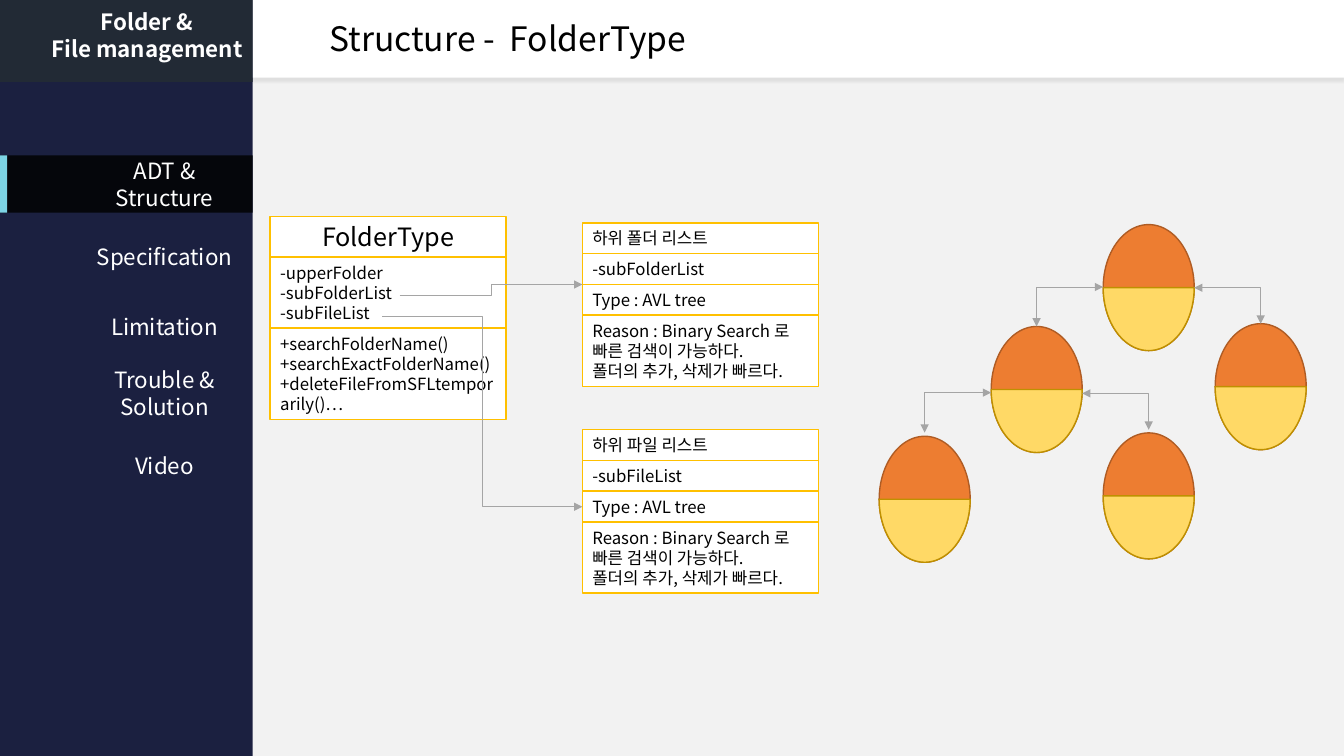
import dataclasses

import lxml.etree
import pptx
import pptx.dml.color
import pptx.enum.shapes
import pptx.enum.text
import pptx.oxml
import pptx.oxml.ns
import pptx.util

Pt = pptx.util.Pt
SHAPES = pptx.enum.shapes.MSO_SHAPE
ALIGN = pptx.enum.text.PP_ALIGN
qn = pptx.oxml.ns.qn


@dataclasses.dataclass(frozen=True)
class Theme:
    font: str = "Noto Sans CJK KR"
    background: str = "F2F2F2"
    white: str = "FFFFFF"
    black: str = "000000"
    sidebar: str = "1B2040"
    sidebar_head: str = "222A35"
    active: str = "05060B"
    accent: str = "7DD4E5"
    card_line: str = "FFC000"
    arrow: str = "A5A5A5"
    node: str = "ED7D31"
    node_line: str = "AF5C24"
    node_half: str = "FFD966"
    node_half_line: str = "BF9000"
    title_size: int = 24
    heading_size: int = 18
    menu_size: int = 16
    body_size: int = 12


def color(value):
    return pptx.dml.color.RGBColor.from_string(value)


def write_text(frame, text, *, size, font, fill, bold=False, align=ALIGN.LEFT, wrap=True):
    """Fill a text frame, one paragraph for each line of text."""
    frame.word_wrap = wrap
    frame.auto_size = pptx.enum.text.MSO_AUTO_SIZE.SHAPE_TO_FIT_TEXT
    for index, line in enumerate(text.split("\n")):
        paragraph = frame.add_paragraph() if index else frame.paragraphs[0]
        paragraph.alignment = align
        run = paragraph.add_run()
        run.text = line
        run.font.size = Pt(size)
        run.font.name = font
        run.font.bold = bold
        run.font.color.rgb = color(fill)
        east_asian = lxml.etree.SubElement(run.font._element, qn("a:ea"))
        east_asian.set("typeface", font)


class SlideBuilder:
    def __init__(self, slide, theme):
        self.slide = slide
        self.theme = theme
        slide.background.fill.solid()
        slide.background.fill.fore_color.rgb = color(theme.background)

    def shape(self, kind, left, top, width, height, fill, line=None):
        shape = self.slide.shapes.add_shape(kind, Pt(left), Pt(top), Pt(width), Pt(height))
        shape.shadow.inherit = False
        shape.fill.solid()
        shape.fill.fore_color.rgb = color(fill)
        if line:
            shape.line.color.rgb = color(line)
            shape.line.width = Pt(1)
        else:
            shape.line.fill.background()
        return shape

    def bar(self, left, top, width, height, fill):
        return self.shape(SHAPES.RECTANGLE, left, top, width, height, fill)

    def label(self, left, top, width, height, text, **text_format):
        box = self.slide.shapes.add_textbox(Pt(left), Pt(top), Pt(width), Pt(height))
        write_text(box.text_frame, text, font=self.theme.font, **text_format)

    def card(self, left, top, rows):
        """Stack outlined rows given as (text, height, size, alignment)."""
        for text, height, size, align in rows:
            row = self.shape(SHAPES.RECTANGLE, left, top, CARD_WIDTH, height,
                             self.theme.white, self.theme.card_line)
            write_text(row.text_frame, text, size=size, align=align,
                       font=self.theme.font, fill=self.theme.black)
            top += height

    def node(self, left, top):
        theme = self.theme
        place = (left, top, NODE_WIDTH, NODE_HEIGHT)
        self.shape(SHAPES.OVAL, *place, theme.node, theme.node_line)
        half = self.shape(SHAPES.CHORD, *place, theme.node_half, theme.node_half_line)
        # Chord from 0 to 180 degrees, in 60000ths of a degree over 100000
        half.adjustments[0] = 0
        half.adjustments[1] = 108

    def elbow(self, start, end, single_bend=False, both_heads=False):
        connector = self.slide.shapes.add_connector(
            pptx.enum.shapes.MSO_CONNECTOR.ELBOW, *map(Pt, start + end))
        connector.line.color.rgb = color(self.theme.arrow)
        connector.line.width = Pt(0.5)
        properties = connector._element.spPr
        if single_bend:
            properties.find(qn("a:prstGeom")).set("prst", "bentConnector2")
        line = properties.find(qn("a:ln"))
        for tag in ("a:headEnd", "a:tailEnd") if both_heads else ("a:tailEnd",):
            lxml.etree.SubElement(line, qn(tag)).set("type", "triangle")
        lxml.etree.SubElement(properties, qn("a:effectLst"))

    def shadow(self, shape):
        effects = shape._element.spPr.find(qn("a:effectLst"))
        effects.append(pptx.oxml.parse_xml(
            f'<a:outerShdw {pptx.oxml.ns.nsdecls("a")} blurRad="{Pt(2)}" dist="{Pt(2)}" '
            'dir="5400000" algn="t" rotWithShape="0"><a:srgbClr val="000000">'
            '<a:alpha val="8000"/></a:srgbClr></a:outerShdw>'))


SLIDE_WIDTH, SLIDE_HEIGHT = 960, 540
SIDEBAR_WIDTH = 180.5
CARD_WIDTH = 168.5
ROW_HEIGHT = 22
NODE_WIDTH, NODE_HEIGHT = 65, 90
TREE_LEFT, TREE_STEP = 628, 80

MENU = [("ADT &\nStructure", 108.7, 46), ("Specification", 169.9, 26.6),
        ("Limitation", 219.9, 26.6), ("Trouble &\nSolution", 258, 46),
        ("Video", 319.7, 26.6)]
LISTS = [("하위 폴더 리스트", "-subFolderList", 159.2),
         ("하위 파일 리스트", "-subFileList", 306.8)]
REASON = "Reason : Binary Search 로 빠른 검색이 가능하다.\n폴더의 추가, 삭제가 빠르다."
# Tree nodes: column and top
NODES = {"left": (1, 233.2), "root": (2, 160.4), "right": (3, 231.2),
         "left left": (0, 311.6), "left right": (2, 309.2)}
# Tree links: parent, child, start height, end height
LINKS = [("root", "left", 205, 233.2), ("root", "right", 205.5, 231.2),
         ("left", "left left", 280.4, 309), ("left", "left right", 281, 307)]


def main():
    presentation = pptx.Presentation()
    presentation.slide_width = Pt(SLIDE_WIDTH)
    presentation.slide_height = Pt(SLIDE_HEIGHT)
    theme = Theme()
    builder = SlideBuilder(presentation.slides.add_slide(presentation.slide_layouts[6]), theme)

    # Sidebar and title band
    builder.bar(0, 0, SIDEBAR_WIDTH, SLIDE_HEIGHT, theme.sidebar)
    band = builder.bar(SIDEBAR_WIDTH, 0, SLIDE_WIDTH - SIDEBAR_WIDTH, 55.5, theme.white)
    builder.shadow(band)
    builder.bar(0, -0.5, SIDEBAR_WIDTH, 59, theme.sidebar_head)
    menu_format = dict(size=theme.menu_size, fill=theme.white, align=ALIGN.CENTER)
    builder.label(28.5, 2.2, 153, 46, "Folder &\nFile management", bold=True, **menu_format)

    # Menu with its active entry
    builder.bar(0, 111, SIDEBAR_WIDTH, 41, theme.active)
    builder.bar(0, 111, 5.2, 41, theme.accent)
    for text, top, height in MENU:
        builder.label(56, top, 123, height, text, **menu_format)
    builder.label(228.2, 9.3, 271.5, 36, "Structure -  FolderType",
                  size=theme.title_size, fill=theme.black, wrap=False)

    # Class card
    body = (theme.body_size, ALIGN.LEFT)
    builder.card(193, 154.6, [
        ("FolderType", 29, theme.heading_size, ALIGN.CENTER),
        ("-upperFolder\n-subFolderList\n-subFileList", 50.8, *body),
        ("+searchFolderName()\n+searchExactFolderName()\n"
         "+deleteFileFromSFLtemporarily()…", 65.4, *body)])

    # List cards
    for heading, member, top in LISTS:
        rows = [(text, ROW_HEIGHT, *body) for text in (heading, member, "Type : AVL tree")]
        builder.card(416, top, rows + [(REASON, 50.8, *body)])
    builder.elbow((285.4, 211), (416, 203.3))
    builder.elbow((273, 225.7), (416, 362))

    # AVL tree
    for column, top in NODES.values():
        builder.node(TREE_LEFT + column * TREE_STEP, top)
    for parent, child, start_top, end_top in LINKS:
        parent_column, child_column = NODES[parent][0], NODES[child][0]
        side = NODE_WIDTH if child_column > parent_column else 0
        start = (TREE_LEFT + parent_column * TREE_STEP + side, start_top)
        end = (TREE_LEFT + child_column * TREE_STEP + NODE_WIDTH / 2, end_top)
        builder.elbow(start, end, single_bend=True, both_heads=True)

    presentation.save("out.pptx")


if __name__ == "__main__":
    main()
